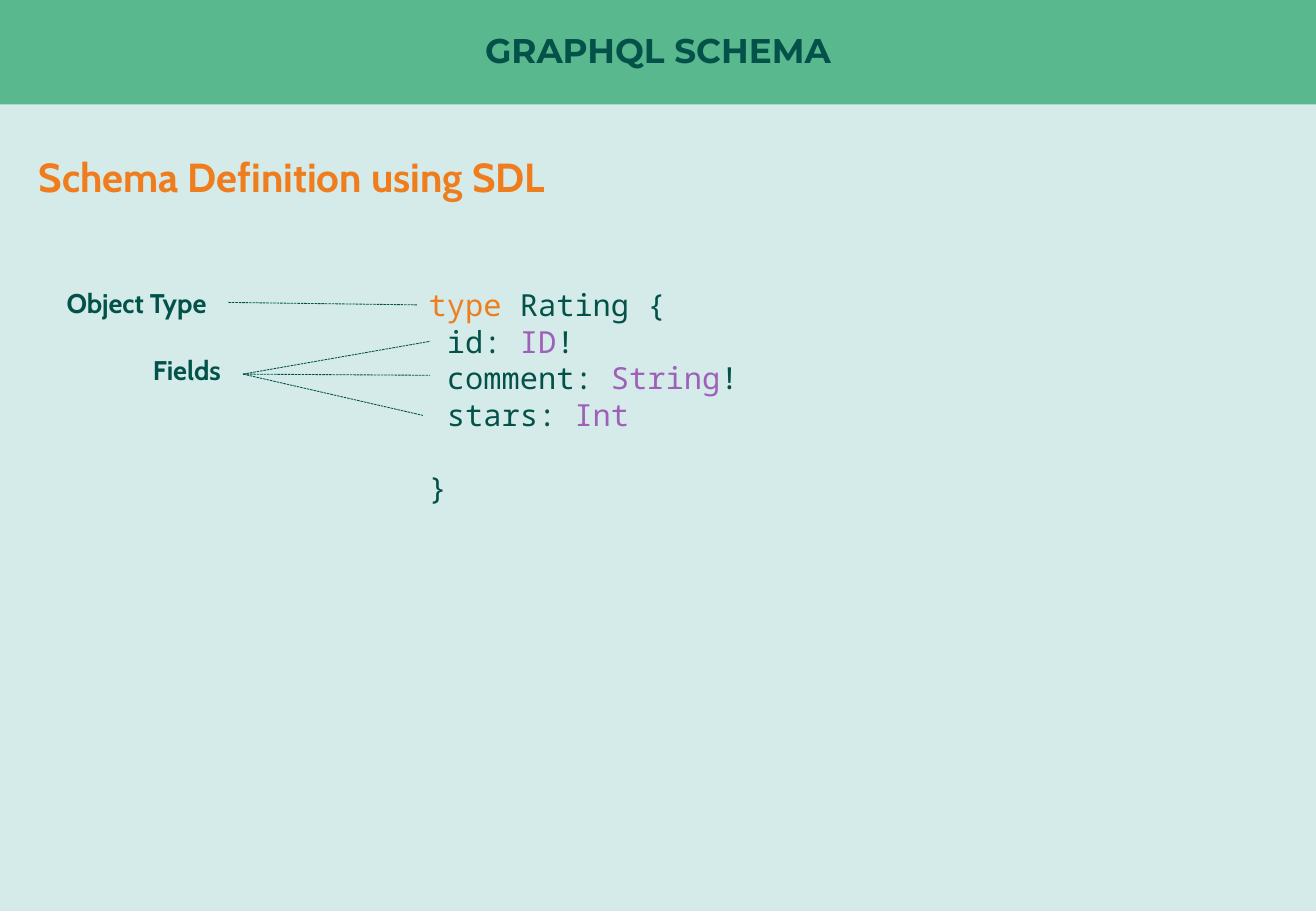
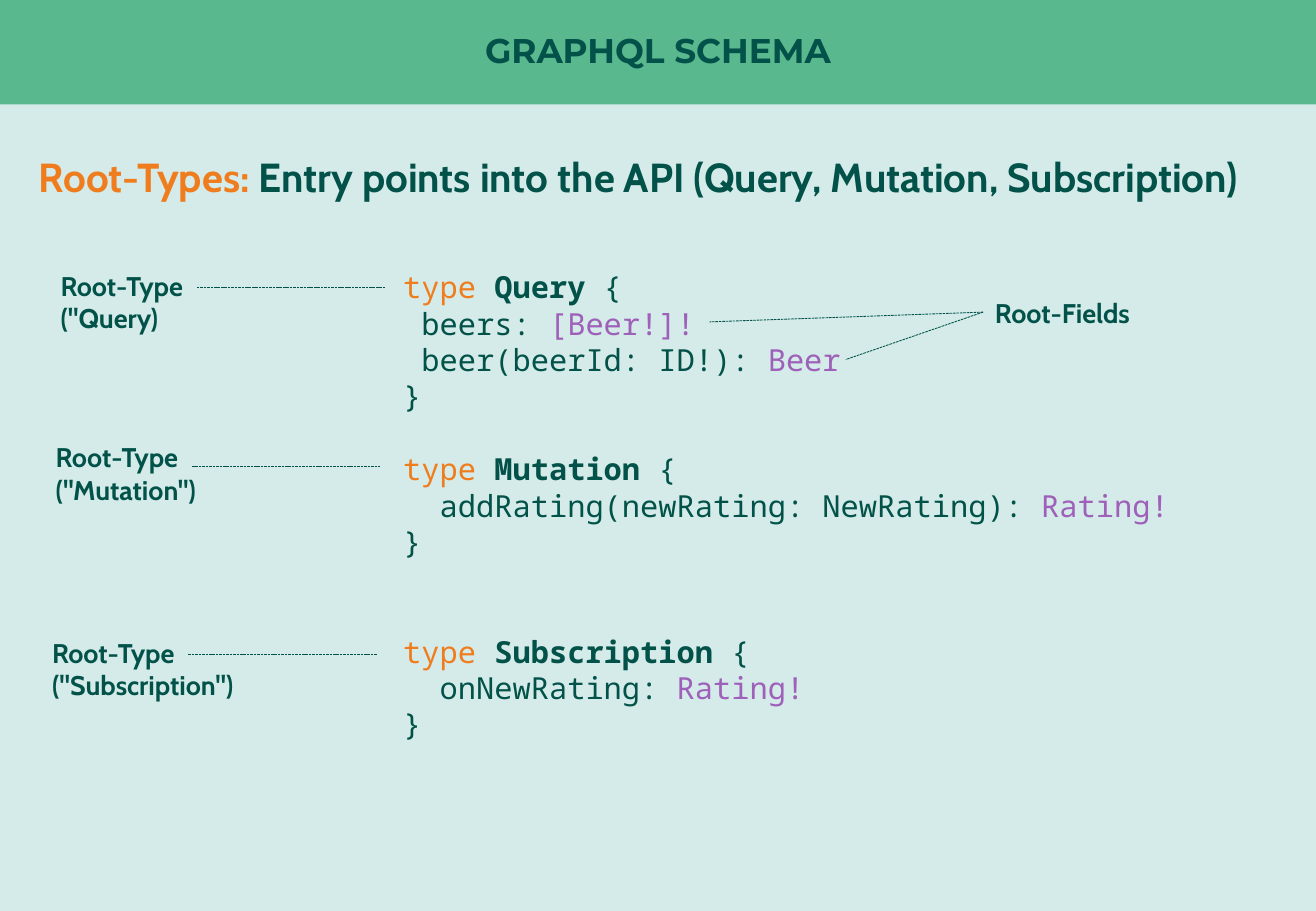
import pptx
import pptx.dml.color
import pptx.enum.dml
import pptx.enum.shapes
import pptx.enum.text
import pptx.oxml.xmlchemy
import pptx.util
from lxml import etree

Inches = pptx.util.Inches
Pt = pptx.util.Pt
RGBColor = pptx.dml.color.RGBColor

MINT = RGBColor(0xD4, 0xEB, 0xE9)
GREEN = RGBColor(0x5A, 0xB8, 0x8F)
DARK = RGBColor(0x02, 0x52, 0x49)
ORANGE = RGBColor(0xEF, 0x7D, 0x1D)
PURPLE = RGBColor(0x9E, 0x60, 0xB8)

WIDTH, HEIGHT, BAND_HEIGHT = 10.83, 7.5, 0.86
TITLE_FONT, TEXT_FONT, CODE_FONT = "Montserrat", "Cabin", "Noto Sans Mono"
CODE_SIZE = 18
CODE_PITCH = 0.3
EFFECT_LIST = "{http://schemas.openxmlformats.org/drawingml/2006/main}effectLst"


class SlideWriter:
    """Holds the shared style and adds elements to the current page."""

    def __init__(self):
        self.deck = pptx.Presentation()
        self.deck.slide_width = Inches(WIDTH)
        self.deck.slide_height = Inches(HEIGHT)
        background = self.deck.slide_master.background.fill
        background.solid()
        background.fore_color.rgb = MINT
        self.page = None

    def start_page(self, title, headline):
        self.page = self.deck.slides.add_slide(self.deck.slide_layouts[6])
        band = self.page.shapes.add_shape(
            pptx.enum.shapes.MSO_SHAPE.RECTANGLE,
            0, 0, Inches(WIDTH), Inches(BAND_HEIGHT))
        band.shadow.inherit = False
        band.fill.solid()
        band.fill.fore_color.rgb = GREEN
        band.line.fill.background()
        frame = band.text_frame
        frame.margin_left = frame.margin_right = 0
        frame.margin_top = frame.margin_bottom = 0
        frame.vertical_anchor = pptx.enum.text.MSO_ANCHOR.MIDDLE
        para = frame.paragraphs[0]
        para.alignment = pptx.enum.text.PP_ALIGN.CENTER
        para.line_spacing = 0.9
        self.add_span(para, (title, DARK, True), TITLE_FONT, 20.3)

        spans = [(text, color, True) for text, color in headline]
        self.add_text(0.22, 1.12, 10.39, 0.57, [spans], TEXT_FONT, 24, 1.2)

    def add_span(self, para, span, font, size):
        """Add a (text, colour, bold) span; colour and bold are optional."""
        text, color, bold = (*span, DARK, False)[:3] if len(span) == 1 else (
            *span, False)[:3]
        run = para.add_run()
        run.text = text
        run.font.name = font
        run.font.size = Pt(size)
        run.font.bold = bold
        run.font.color.rgb = color

    def add_text(self, left, top, width, height, lines, font, size,
                 spacing=None):
        box = self.page.shapes.add_textbox(
            Inches(left), Inches(top), Inches(width), Inches(height))
        frame = box.text_frame
        frame.word_wrap = True
        for index, spans in enumerate(lines):
            para = frame.add_paragraph() if index else frame.paragraphs[0]
            para.line_spacing = spacing
            for span in spans:
                self.add_span(para, span, font, size)
        return frame

    def add_label(self, left, top, *lines):
        self.add_text(left, top, 2, 0.1 + 0.27 * len(lines),
                      [[(line, DARK, True)] for line in lines], TEXT_FONT, 16)

    def add_code(self, left, top, width, lines):
        return self.add_text(left, top, width, 0.1 + CODE_PITCH * len(lines),
                             lines, CODE_FONT, CODE_SIZE, Inches(CODE_PITCH))

    def add_leader(self, start, end):
        """Draw a thin dashed line between two (x, y) points."""
        leader = self.page.shapes.add_connector(
            pptx.enum.shapes.MSO_CONNECTOR.STRAIGHT,
            *(Inches(value) for value in (*start, *end)))
        leader.line.color.rgb = DARK
        leader.line.width = Pt(0.5)
        leader.line.dash_style = pptx.enum.dml.MSO_LINE.SQUARE_DOT
        etree.SubElement(leader._element.spPr, EFFECT_LIST)

    def add_fan(self, hub, ends):
        for end in ends:
            self.add_leader(hub, end)


def add_definition_page(writer):
    writer.start_page("GRAPHQL SCHEMA",
                      [("Schema Definition using SDL", ORANGE)])
    frame = writer.add_code(3.43, 2.31, 4.47, [
        [("type", ORANGE), (" Rating {",)],
        [(" id: ",), ("ID", PURPLE), ("!",)],
        [(" comment: ",), ("String", PURPLE), ("!",)],
        [(" stars: ",), ("Int", PURPLE)],
        [("}",)],
    ])
    frame.paragraphs[-1].space_before = Inches(CODE_PITCH)
    writer.add_label(0.45, 2.31, "Object Type")
    writer.add_leader((1.88, 2.49), (3.43, 2.51))
    writer.add_label(1.16, 2.86, "Fields")
    writer.add_fan((2, 3.08), [(3.54, 2.81), (3.54, 3.09), (3.48, 3.42)])


def add_root_types_page(writer):
    writer.start_page("GRAPHQL SCHEMA", [
        ("Root-Types: ", ORANGE),
        ("Entry points into the API (Query, Mutation, Subscription)", DARK),
    ])
    root_types = [
        ("Query", [[(" beers: ",), ("[Beer!]!", PURPLE)],
                   [(" beer(beerId: ID!): ",), ("Beer", PURPLE)]]),
        ("Mutation", [[("  addRating(newRating: NewRating): ",),
                       ("Rating!", PURPLE)]]),
        ("Subscription", [[("  onNewRating: ",), ("Rating!", PURPLE)]]),
    ]
    for index, (name, fields) in enumerate(root_types):
        opening = [("type ", ORANGE), (name, DARK, True), (" {",)]
        writer.add_code(3.22, 2.16 + index * 5 * CODE_PITCH, 6.88,
                        [opening, *fields, [("}",)]])

    root_labels = [
        ('("Query)', 0.4, 2.17, 2.37),
        ('("Mutation")', 0.36, 3.58, 3.84),
        ('("Subscription")', 0.33, 5.19, 5.39),
    ]
    for name, left, top, leader_y in root_labels:
        writer.add_label(left, top, "Root-Type", name)
        writer.add_leader((left + 1.22, leader_y), (left + 2.77, leader_y))

    writer.add_label(8.09, 2.39, "Root-Fields")
    writer.add_fan((8.09, 2.57), [(5.84, 2.65), (6.96, 2.96)])


def main():
    writer = SlideWriter()
    add_definition_page(writer)
    add_root_types_page(writer)
    writer.deck.save("out.pptx")


if __name__ == "__main__":
    main()
